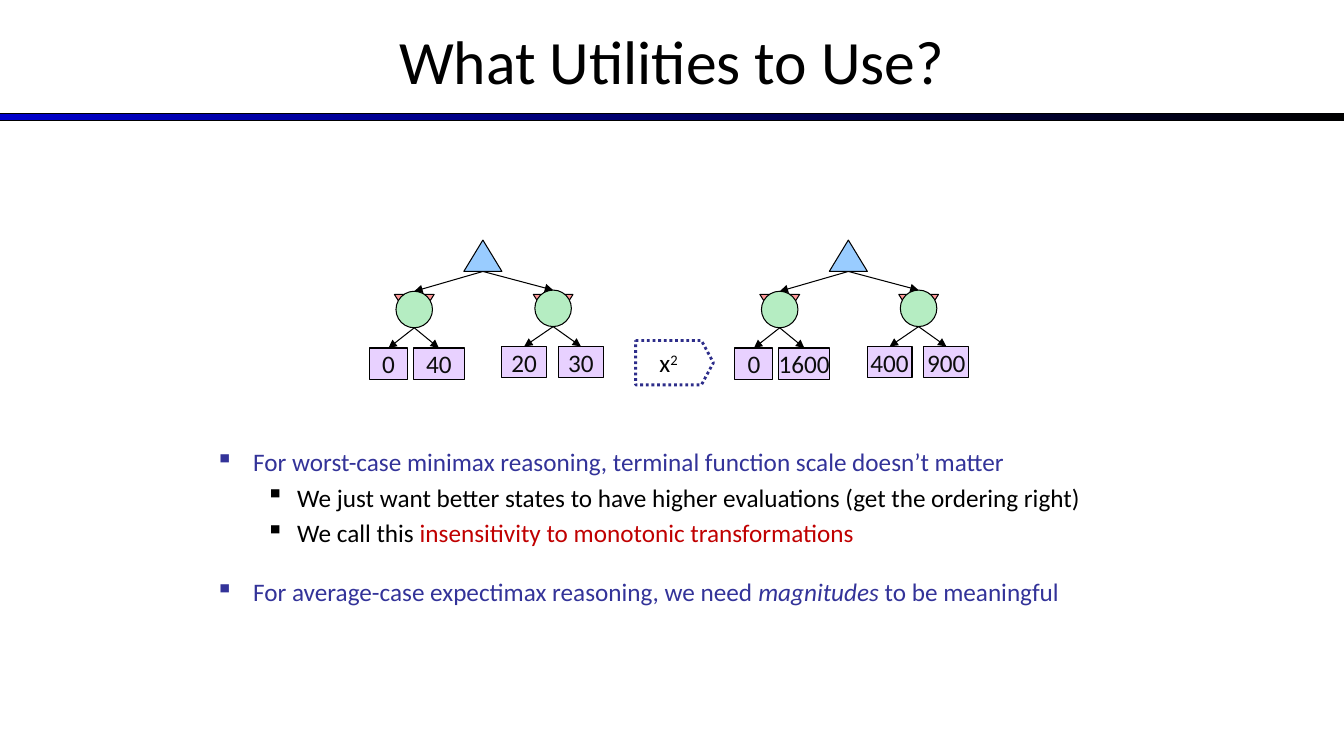
from lxml.etree import SubElement
from pptx import Presentation
from pptx.dml.color import RGBColor
from pptx.enum.dml import MSO_LINE as Dash
from pptx.enum.shapes import MSO_CONNECTOR as Connector, MSO_SHAPE as Shape
from pptx.enum.text import MSO_ANCHOR as Anchor, PP_ALIGN as Align
from pptx.oxml.ns import qn
from pptx.util import Cm, Pt

BLACK = RGBColor(0x00, 0x00, 0x00)
WHITE = RGBColor(0xFF, 0xFF, 0xFF)
BLUE = RGBColor(0x00, 0x00, 0xCC)
INDIGO = RGBColor(0x33, 0x33, 0x99)
NAVY = RGBColor(0x2D, 0x2D, 0x8A)
RED = RGBColor(0xC0, 0x00, 0x00)
MAX_BLUE = RGBColor(0x99, 0xCC, 0xFF)
MIN_PINK = RGBColor(0xFF, 0x99, 0x99)
CHANCE_GREEN = RGBColor(0xB5, 0xED, 0xC2)
LEAF_PURPLE = RGBColor(0xE8, 0xD1, 0xFF)
LEAF_TEXT = RGBColor(0x0D, 0x0D, 0x0D)

PAGE_WIDTH, PAGE_HEIGHT = 33.87, 19.05
NODE_HEIGHT = 0.79
ROOT_TOP = 6.05
ROOT_BOTTOM = ROOT_TOP + NODE_HEIGHT
MIN_TOP = 7.42
CIRCLE_SIZE = 0.92

# Offset from the root, circle top, leaf top, then (offset, width) of each leaf
BRANCHES = [
    (-1.73, 7.34, 8.77, [(-0.65, 0.96), (0.62, 1.28)]),
    (1.77, 7.31, 8.73, [(-0.73, 1.13), (0.7, 1.13)]),
]
# Root centre and the leaf values of each branch
TREES = [
    (12.17, [("0", "40"), ("20", "30")]),
    (21.38, [("0", "1600"), ("400", "900")]),
]


def add_text(para, text, size=18, color=BLACK, italic=False, raised=False):
    span = para.add_run()
    span.text = text
    span.font.name = "Calibri"
    span.font.size = Pt(size)
    span.font.color.rgb = color
    span.font.italic = italic
    if raised:
        span.font._element.set("baseline", "30000")


class Slide:
    def __init__(self, page, line_width=0.75):
        self.page = page
        self.line_width = line_width

    def shape(self, kind, left, top, width, height, fill):
        shape = self.page.shapes.add_shape(
            kind, Cm(left), Cm(top), Cm(width), Cm(height))
        shape.shadow.inherit = False
        shape.fill.solid()
        shape.fill.fore_color.rgb = fill
        shape.line.color.rgb = BLACK
        shape.line.width = Pt(self.line_width)
        return shape

    def node(self, kind, centre, top, width, height, fill):
        """Add a shape placed by its horizontal centre."""
        return self.shape(kind, centre - width / 2, top, width, height, fill)

    def label(self, shape):
        """Return the centred paragraph of a shape, ready for text."""
        frame = shape.text_frame
        frame.word_wrap = False
        frame.vertical_anchor = Anchor.MIDDLE
        frame.margin_left = frame.margin_right = 0
        frame.margin_top = frame.margin_bottom = 0
        para = frame.paragraphs[0]
        para.alignment = Align.CENTER
        return para

    def arrow(self, start, end):
        line = self.page.shapes.add_connector(
            Connector.STRAIGHT, *(Cm(value) for value in start + end))
        line.line.color.rgb = BLACK
        line.line.width = Pt(self.line_width)
        SubElement(line.line._get_or_add_ln(), qn("a:tailEnd"), type="triangle")
        SubElement(line._element.spPr, qn("a:effectLst"))

    def text_box(self, left, top, width, height, anchor=Anchor.TOP):
        box = self.page.shapes.add_textbox(
            Cm(left), Cm(top), Cm(width), Cm(height))
        box.text_frame.word_wrap = True
        box.text_frame.vertical_anchor = anchor
        return box.text_frame

    def bullet(self, para, level, color, space_before):
        margin, hanging = [(0.95, 0.95), (2.06, 0.79)][level]
        para.level = level
        properties = para._p.get_or_add_pPr()
        properties.set("marL", str(Cm(margin)))
        properties.set("indent", str(-Cm(hanging)))
        bullet_color = SubElement(properties, qn("a:buClr"))
        SubElement(bullet_color, qn("a:srgbClr"), val=str(color))
        SubElement(properties, qn("a:buChar"), char="▪")
        para.space_before = Pt(space_before)

    def tree(self, centre, values):
        for (offset, circle_top, leaf_top, leaves), pair in zip(BRANCHES, values):
            child = centre + offset
            circle_bottom = circle_top + CIRCLE_SIZE
            minimum = self.node(
                Shape.ISOSCELES_TRIANGLE, child, MIN_TOP, 1, NODE_HEIGHT, MIN_PINK)
            minimum.rotation = 180
            self.node(Shape.OVAL, child, circle_top,
                      CIRCLE_SIZE, CIRCLE_SIZE, CHANCE_GREEN)
            self.arrow((centre, ROOT_BOTTOM), (child, circle_top))
            for (shift, width), value in zip(leaves, pair):
                leaf = self.node(Shape.RECTANGLE, child + shift, leaf_top,
                                 width, NODE_HEIGHT, LEAF_PURPLE)
                add_text(self.label(leaf), value, color=LEAF_TEXT)
                self.arrow((child, circle_bottom), (child + shift, leaf_top))
        self.node(Shape.ISOSCELES_TRIANGLE, centre, ROOT_TOP,
                  0.96, NODE_HEIGHT, MAX_BLUE)


def add_header(slide):
    bar = slide.shape(Shape.RECTANGLE, 0, 2.86, PAGE_WIDTH, 0.18, BLUE)
    bar.fill.gradient()
    bar.fill.gradient_angle = 0
    for stop, color in zip(bar.fill.gradient_stops, (BLUE, BLACK)):
        stop.color.rgb = color
    title = slide.text_box(0, -0.08, PAGE_WIDTH, 3.18, Anchor.MIDDLE).paragraphs[0]
    title.alignment = Align.CENTER
    add_text(title, "What Utilities to Use?", size=44)


def add_transformation(slide):
    square = slide.shape(Shape.RIGHT_ARROW, 16.02, 8.58, 1.96, 1.12, WHITE)
    square.adjustments[0] = 1
    square.adjustments[1] = 0.27
    square.line.color.rgb = NAVY
    square.line.width = Pt(2)
    square.line.dash_style = Dash.ROUND_DOT
    para = slide.label(square)
    add_text(para, "x")
    add_text(para, "2", raised=True)


def add_points(slide):
    points = [
        (0, INDIGO, 0, [("For worst-case minimax reasoning, terminal function "
                         "scale doesn’t matter", {})]),
        (1, BLACK, 3.6, [("We just want better states to have higher evaluations "
                          "(get the ordering right)", {})]),
        (1, BLACK, 3.6, [("We call this ", {}),
                         ("insensitivity to monotonic transformations",
                          {"color": RED})]),
        (0, INDIGO, 20.6, [("For average-case expectimax reasoning, we need ", {}),
                           ("magnitudes", {"italic": True}),
                           (" to be meaningful", {})]),
    ]
    frame = slide.text_box(5.18, 11.13, 23.01, 4.93)
    for index, (level, color, space_before, spans) in enumerate(points):
        para = frame.add_paragraph() if index else frame.paragraphs[0]
        slide.bullet(para, level, color, space_before)
        for text, style in spans:
            add_text(para, text, **{"color": color, **style})


def main():
    deck = Presentation()
    deck.slide_width, deck.slide_height = Cm(PAGE_WIDTH), Cm(PAGE_HEIGHT)
    slide = Slide(deck.slides.add_slide(deck.slide_layouts[6]))
    add_header(slide)
    for centre, values in TREES:
        slide.tree(centre, values)
    add_transformation(slide)
    add_points(slide)
    deck.save("out.pptx")


if __name__ == "__main__":
    main()
